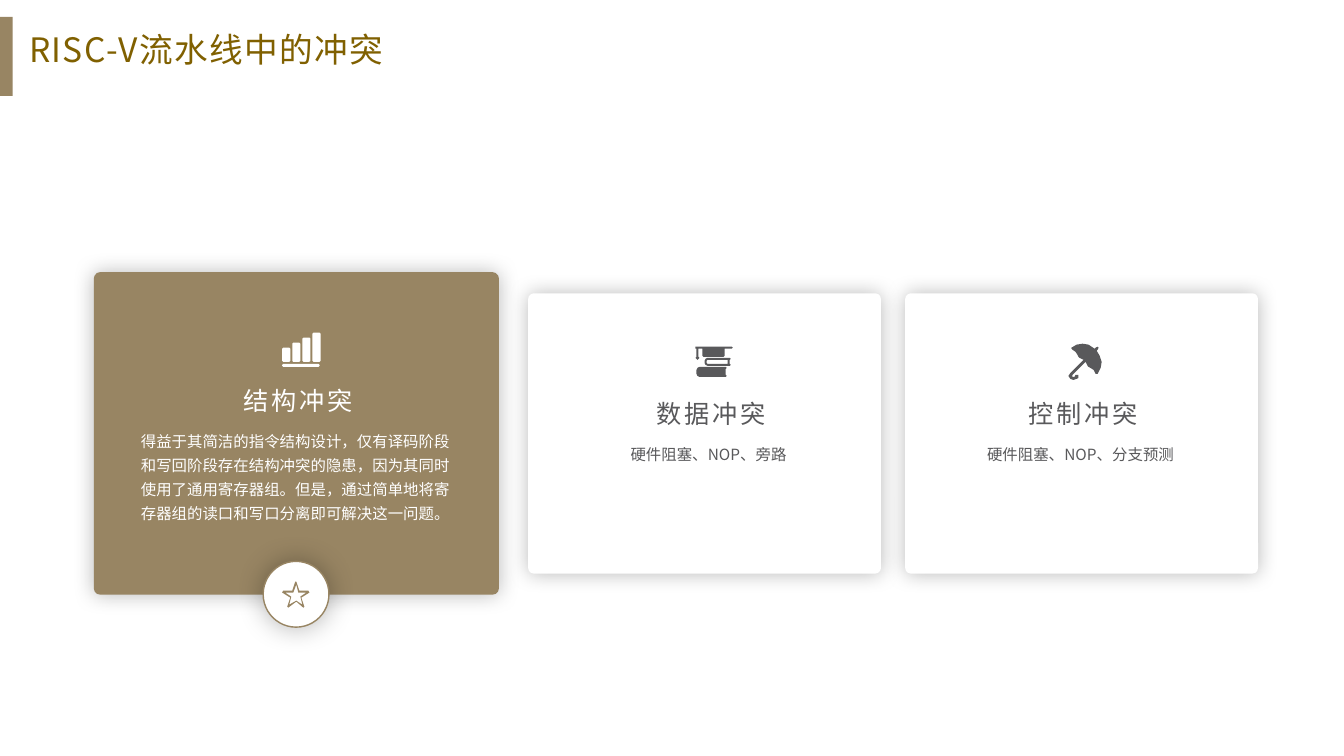
from lxml import etree
from pptx import Presentation
from pptx.dml.color import RGBColor
from pptx.enum.shapes import MSO_SHAPE
from pptx.enum.text import MSO_AUTO_SIZE, PP_ALIGN
from pptx.oxml.ns import qn
from pptx.util import Pt

RECT, ROUND, OVAL = MSO_SHAPE.RECTANGLE, MSO_SHAPE.ROUNDED_RECTANGLE, MSO_SHAPE.OVAL
GROW = MSO_AUTO_SIZE.SHAPE_TO_FIT_TEXT
LEFT, CENTER = PP_ALIGN.LEFT, PP_ALIGN.CENTER
COLORS = {"tan": "988563", "gold": "806000", "white": "FFFFFF",
          "gray": "59595B", "black": "000000"}
UNIT = Pt(0.72)  # grid step of the icons


class Deck:
    font = "Noto Sans CJK SC"

    def __init__(self):
        self.prs = Presentation()
        self.prs.slide_width, self.prs.slide_height = Pt(960), Pt(540)
        self.slide = self.prs.slides.add_slide(self.prs.slide_layouts[6])

    def color(self, name):
        return RGBColor.from_string(COLORS[name])

    def paint(self, shape, fill, line=None):
        shape.shadow.inherit = False
        shape.fill.solid()
        shape.fill.fore_color.rgb = self.color(fill)
        if line:
            shape.line.color.rgb = self.color(line)
            shape.line.width = Pt(1)
        else:
            shape.line.fill.background()

    def glow(self, shape, blur, alpha):
        effects = shape._element.spPr.find(qn("a:effectLst"))
        outer = etree.SubElement(effects, qn("a:outerShdw"), blurRad=str(Pt(blur)),
                                 dist="0", dir="0", algn="ctr", rotWithShape="0")
        tint = etree.SubElement(outer, qn("a:srgbClr"), val=COLORS["black"])
        etree.SubElement(tint, qn("a:alpha"), val=str(alpha * 1000))

    def shape(self, kind, box, fill, line=None):
        shape = self.slide.shapes.add_shape(kind, *map(Pt, box))
        self.paint(shape, fill, line)
        return shape

    def card(self, box, fill):
        card = self.shape(ROUND, box, fill)
        card.adjustments[0] = 0.02
        self.glow(card, 15, 27)

    def text(self, box, words, size, color, align=CENTER, lead=1.2, track=0):
        frame = self.slide.shapes.add_textbox(*map(Pt, box)).text_frame
        frame.word_wrap = True
        frame.auto_size = GROW
        para = frame.paragraphs[0]
        para.alignment = align
        para.line_spacing = lead
        run = para.add_run()
        run.text = words
        run.font.name = self.font
        run.font.size = Pt(size)
        run.font.color.rgb = self.color(color)
        if track:
            run._r.get_or_add_rPr().set("spc", str(track * 100))

    def icon(self, left, top, color, loops):
        pen = self.slide.shapes.build_freeform(*loops[0][0], scale=UNIT)
        pen.add_line_segments(loops[0][1:])
        for loop in loops[1:]:
            pen.move_to(*loop[0])
            pen.add_line_segments(loop[1:])
        self.paint(pen.convert_to_shape(Pt(left), Pt(top)), color)


def block(left, top, right, low):
    """Outline of a bar with its corners cut by one grid step."""
    return [(left + 1, top), (right - 1, top), (right, top + 1), (right, low - 1),
            (right - 1, low), (left + 1, low), (left, low - 1), (left, top + 1)]


# Icon outlines
STAR = [
    [(13, 0), (14, 0), (17, 9), (26, 9), (27, 11), (19, 16), (22, 25), (21, 26),
     (14, 20), (6, 26), (5, 25), (8, 16), (0, 11), (1, 9), (10, 9)],
    [(18, 15), (20, 23), (14, 19), (7, 23), (9, 15), (3, 11), (11, 11), (14, 3),
     (16, 11), (24, 11)],
]
BARS = [block(0, 31, 37, 34)] + [
    block(10 * i, 15 - 5 * i, 10 * i + 8, 29) for i in range(4)]
BOOKS = [
    [(4, 20), (30, 20), (31, 21), (30, 22), (30, 28), (31, 29), (30, 30), (4, 30),
     (2, 29), (1, 27), (1, 23), (2, 21)],
    [(12, 11), (34, 11), (35, 12), (34, 13), (34, 17), (35, 18), (34, 19), (12, 19),
     (10, 18), (9, 16), (9, 14), (10, 12)],
    [(12, 17), (32, 17), (32, 13), (12, 13), (11, 14), (11, 16)],
    [(36, 0), (0, 0), (0, 2), (1, 2), (1, 10), (0, 11), (2, 13), (4, 11), (3, 10),
     (3, 2), (7, 2), (7, 9), (8, 10), (28, 10), (29, 9), (29, 2), (36, 2), (37, 1)],
]
BROLLY = [
    [(28, 8), (29, 7), (30, 5), (29, 4), (27, 5), (26, 6), (20, 2), (14, 1), (8, 2),
     (3, 5), (3, 6), (4, 7), (7, 9), (9, 12), (10, 14), (11, 15), (15, 17), (2, 30),
     (0, 33), (2, 36), (5, 37), (8, 36), (10, 35), (10, 32), (7, 32), (6, 34),
     (4, 34), (4, 32), (17, 19), (19, 23), (20, 24), (25, 27), (27, 31), (29, 31),
     (32, 25), (33, 19), (31, 13)],
]


def main():
    deck = Deck()

    # Title
    deck.shape(RECT, (0, 12, 9, 56.5), "tan")
    deck.text((13.7, 11.5, 298, 39.6), "RISC-V流水线中的冲突", 24, "gold", LEFT, track=1)

    # Cards
    deck.card((67, 194.4, 289.4, 230.4), "tan")
    for left in (377.3, 646.6):
        deck.card((left, 209.5, 252, 200.2), "white")

    # Star badge
    badge = deck.shape(OVAL, (188, 401, 47, 47), "white", "tan")
    deck.glow(badge, 20, 30)
    deck.icon(201.6, 415.4, "tan", STAR)

    # Card content: heading box, body box, icon
    parts = [
        ("结构冲突", (100, 267.1), "得益于其简洁的指令结构设计，仅有译码阶段和写回阶段存在结构冲突的隐患，"
         "因为其同时使用了通用寄存器组。但是，通过简单地将寄存器组的读口和写口分离即可解决这一问题。",
         (90, 301, 242, 74.9), "white", BARS, (201.6, 237.6)),
        ("数据冲突", (395.3, 276.5), "硬件阻塞、NOP、旁路",
         (393.1, 310.3, 226, 23), "gray", BOOKS, (496.8, 247.7)),
        ("控制冲突", (661, 276.5), "硬件阻塞、NOP、分支预测",
         (658.8, 310.3, 226, 23), "gray", BROLLY, (763.2, 244.8)),
    ]
    for head, spot, body, box, color, loops, place in parts:
        deck.text((*spot, 226, 31), head, 18, color, track=2)
        deck.text(box, body, 11, color, lead=1.3)
        deck.icon(*place, color, loops)

    deck.prs.save("out.pptx")


if __name__ == "__main__":
    main()
